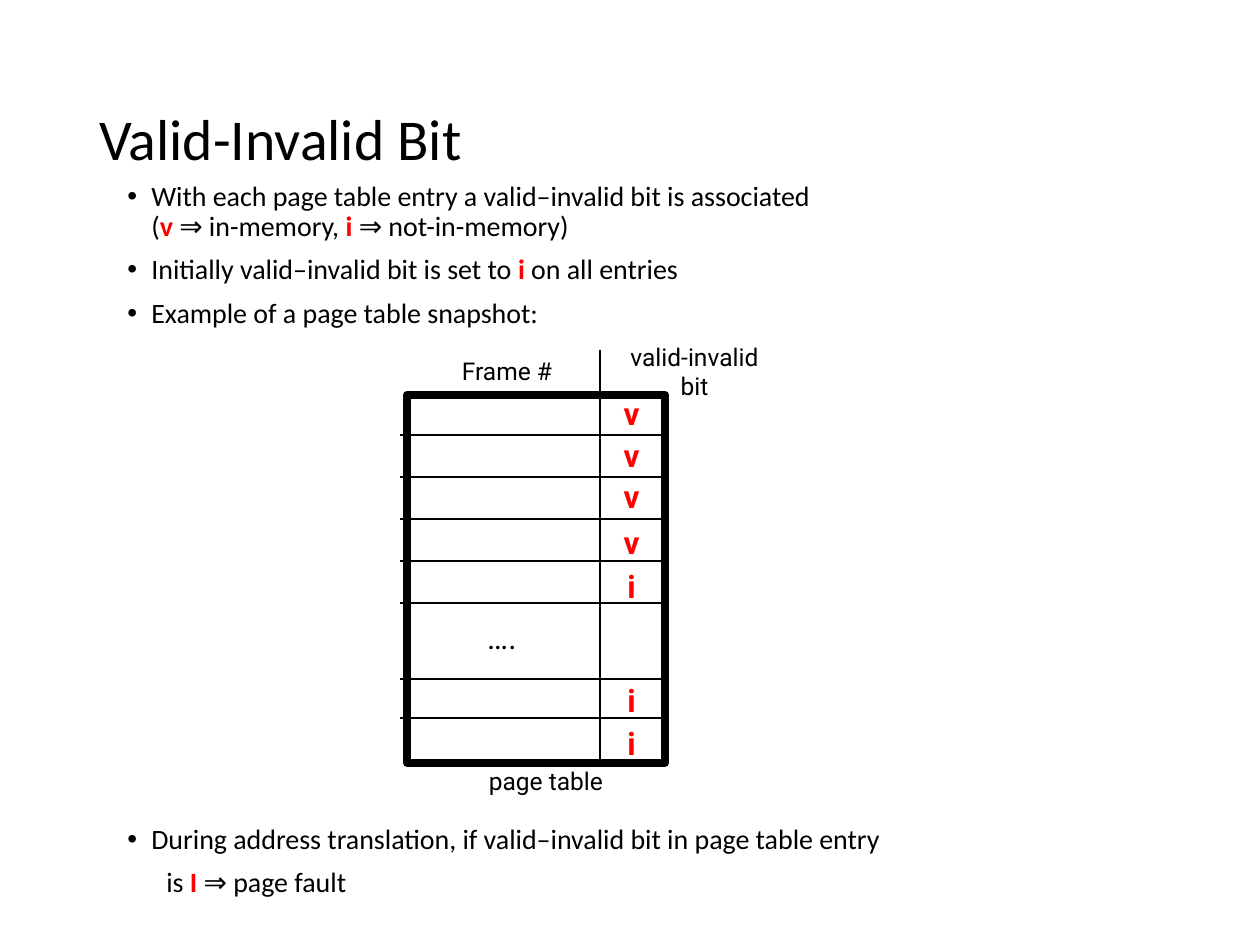
"""Build the Valid-Invalid Bit slide with its page table snapshot."""
import pptx
import pptx.dml.color
import pptx.enum.shapes
import pptx.enum.text
import pptx.oxml.ns
import pptx.util
from lxml import etree

PX = 914400 / 126
COLORS = {"ink": "000000", "bit": "FF0000", "paper": "FFFFFF"}
ALIGN = pptx.enum.text.PP_ALIGN
ANCHOR = pptx.enum.text.MSO_ANCHOR


def emu(*lengths):
    return [round(length * PX) for length in lengths]


def add_text(box, paragraphs, size, font, wrap=True, anchor=ANCHOR.MIDDLE, align=ALIGN.LEFT):
    frame = slide.shapes.add_textbox(*emu(*box)).text_frame
    frame.word_wrap = wrap
    frame.vertical_anchor = anchor
    for number, runs in enumerate(paragraphs):
        paragraph = frame.add_paragraph() if number else frame.paragraphs[0]
        paragraph.alignment = align
        for text, color in runs:
            if text == "\n":
                paragraph.add_line_break()
                continue
            run = paragraph.add_run()
            run.text = text
            run.font.size = pptx.util.Pt(size)
            run.font.name = font
            run.font.bold = color == "bit"
            run.font.color.rgb = pptx.dml.color.RGBColor.from_string(COLORS[color])
    return frame


deck = pptx.Presentation()
deck.slide_width, deck.slide_height = emu(1260, 945)
slide = deck.slides.add_slide(deck.slide_layouts[6])

add_text((87, 50, 1086, 183), [[("Valid-Invalid Bit", "ink")]], 33, "Calibri").paragraphs[0].line_spacing = 0.9

introduction = [
    [("With each page table entry a valid–invalid bit is associated", "ink"), ("\n", "ink"),
     ("(", "ink"), ("v ", "bit"), ("⇒ in-memory, ", "ink"), ("i", "bit"), (" ⇒ not-in-memory)", "ink")],
    [("Initially valid–invalid bit is set to", "ink"), (" i ", "bit"), ("on all entries", "ink")],
    [("Example of a page table snapshot:", "ink")],
]
translation = [
    [("During address translation, if valid–invalid bit in page table entry", "ink")],
    [("is", "ink"), (" I", "bit"), (" ⇒ page fault", "ink")],
]
for top, height, points in ((176, 165, introduction), (819, 95, translation)):
    body = add_text((115, top, 998, height), points, 16, "Calibri", anchor=ANCHOR.TOP)
    for number, point in enumerate(body.paragraphs):
        continued = points is translation and number == 1
        margin, indent = emu(39, 0) if continued else emu(24, -24)
        properties = point._p.get_or_add_pPr()
        properties.set("marL", str(margin))
        properties.set("indent", str(indent))
        if not continued:
            font = etree.SubElement(properties, pptx.oxml.ns.qn("a:buFont"))
            font.set("typeface", "Arial")
            bullet = etree.SubElement(properties, pptx.oxml.ns.qn("a:buChar"))
            bullet.set("char", "•")
        point.line_spacing = 0.9
        if number:
            point.space_before = pptx.util.Pt(7.5)

page_table = slide.shapes.add_shape(pptx.enum.shapes.MSO_SHAPE.RECTANGLE, *emu(407, 395, 258, 368))
page_table.shadow.inherit = False
page_table.fill.solid()
page_table.fill.fore_color.rgb = pptx.dml.color.RGBColor.from_string(COLORS["paper"])
page_table.line.color.rgb = pptx.dml.color.RGBColor.from_string(COLORS["ink"])
page_table.line.width = pptx.util.Pt(4.5)

row_edges = [435 + 42 * row for row in range(5)] + [679, 718]
rules = [(400, edge, 663, edge) for edge in row_edges] + [(600, 350, 600, 760)]
for ends in rules:
    rule = slide.shapes.add_connector(pptx.enum.shapes.MSO_CONNECTOR.STRAIGHT, *emu(*ends))
    rule.line.color.rgb = pptx.dml.color.RGBColor.from_string(COLORS["ink"])
    rule.line.width = pptx.util.Pt(0.75)
    etree.SubElement(rule._element.spPr, pptx.oxml.ns.qn("a:effectLst"))

bit_tops = (388, 430, 471, 517, 561, 675, 718)
labels = [((610, top, 43, 50), [(bit, "bit")], 18) for bit, top in zip("vvvviii", bit_tops)]
labels += [
    ((469, 612, 66, 50), [("….", "ink")], 18),
    ((449, 350, 116, 42), [("Frame #", "ink")], 14),
    ((602, 350, 185, 42), [("valid-invalid", "ink"), ("\n", "ink"), ("bit", "ink")], 14),
    ((476, 760, 140, 42), [("page table", "ink")], 14),
]
for box, runs, size in labels:
    add_text(box, [runs], size, "Roboto", wrap=False, align=ALIGN.CENTER)

deck.save("out.pptx")
